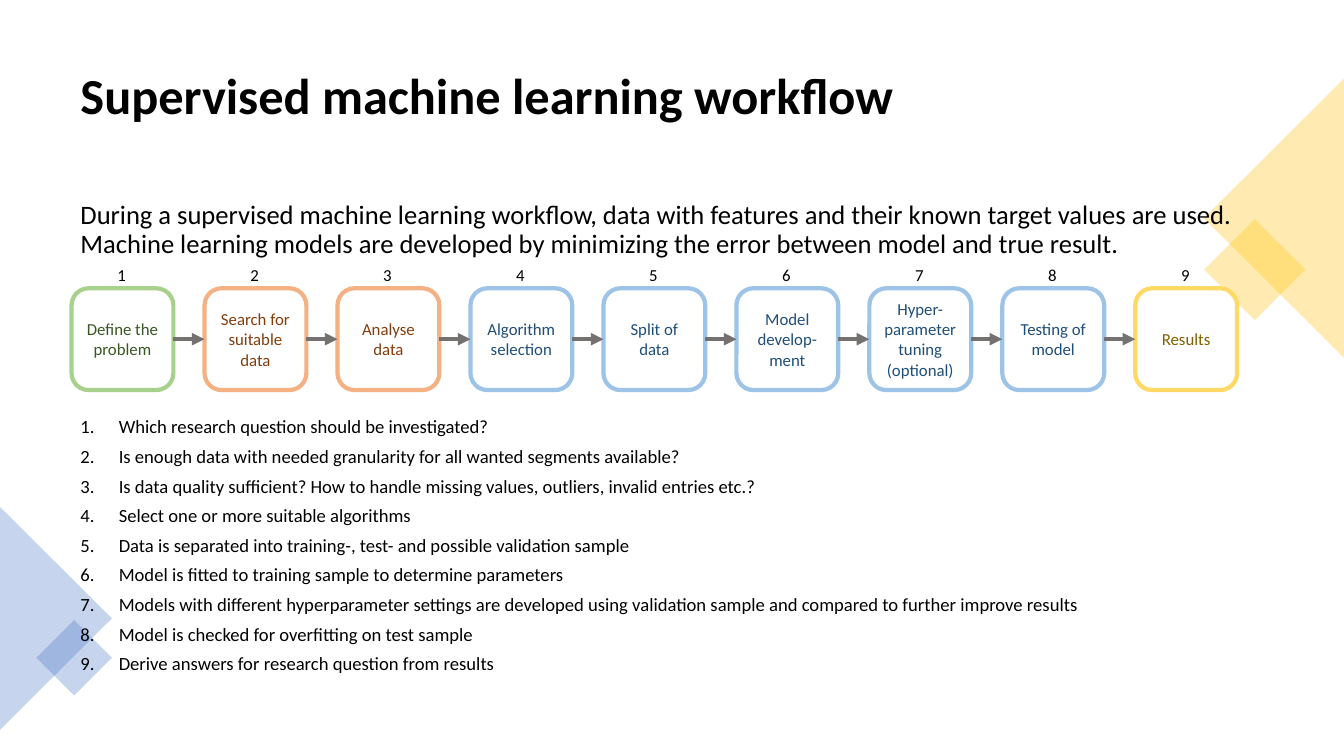
from lxml.etree import SubElement
from pptx import Presentation
from pptx.dml.color import RGBColor
from pptx.enum.shapes import MSO_CONNECTOR, MSO_SHAPE
from pptx.enum.text import MSO_ANCHOR, PP_ALIGN
from pptx.oxml.ns import qn
from pptx.util import Inches, Pt

BLACK = RGBColor(0, 0, 0)
GREY = RGBColor(0x76, 0x71, 0x71)
GOLD = RGBColor(0xFF, 0xC0, 0x00)
BLUE = RGBColor(0x44, 0x72, 0xC4)
GREEN_STEP = RGBColor(0xA9, 0xD1, 0x8E), RGBColor(0x38, 0x57, 0x23)
ORANGE_STEP = RGBColor(0xF4, 0xB1, 0x83), RGBColor(0x84, 0x3C, 0x0B)
BLUE_STEP = RGBColor(0x9D, 0xC3, 0xE6), RGBColor(0x1F, 0x4E, 0x79)
GOLD_STEP = RGBColor(0xFF, 0xD9, 0x66), RGBColor(0x80, 0x60, 0x00)

TITLE = "Supervised machine learning workflow"
INTRO = (
    "During a supervised machine learning workflow, data with features and "
    "their known target values are used. Machine learning models are developed "
    "by minimizing the error between model and true result."
)
STEPS = [
    ("Define the problem", GREEN_STEP, "Which research question should be investigated?"),
    ("Search for suitable data", ORANGE_STEP,
     "Is enough data with needed granularity for all wanted segments available?"),
    ("Analyse data", ORANGE_STEP,
     "Is data quality sufficient? How to handle missing values, outliers, invalid entries etc.?"),
    ("Algorithm selection", BLUE_STEP, "Select one or more suitable algorithms"),
    ("Split of data", BLUE_STEP,
     "Data is separated into training-, test- and possible validation sample"),
    ("Model develop-ment", BLUE_STEP,
     "Model is fitted to training sample to determine parameters"),
    ("Hyper-parameter tuning (optional)", BLUE_STEP,
     "Models with different hyperparameter settings are developed using validation "
     "sample and compared to further improve results"),
    ("Testing of model", BLUE_STEP, "Model is checked for overfitting on test sample"),
    ("Results", GOLD_STEP, "Derive answers for research question from results"),
]
DECORATIONS = [
    (MSO_SHAPE.RECTANGLE, (12.09, 2.32, 0.71, 0.71), 45, GOLD),
    (MSO_SHAPE.ISOSCELES_TRIANGLE, (11.25, 1.47, 2.77, 1.39), 270, GOLD),
    (MSO_SHAPE.ISOSCELES_TRIANGLE, (-0.55, 5.58, 2.21, 1.11), 90, BLUE),
    (MSO_SHAPE.RECTANGLE, (0.47, 6.26, 0.53, 0.53), 45, BLUE),
]


def apply_format(target, values):
    """Set each named attribute of the target."""
    for name, value in values.items():
        setattr(target, name, value)


def write_text(box, lines, size, color=BLACK, bold=False, frame_format=None, para_format=None):
    """Write one paragraph per line into the box."""
    frame = box.text_frame
    apply_format(frame, {"word_wrap": True, **(frame_format or {})})
    for index, line in enumerate(lines):
        para = frame.add_paragraph() if index else frame.paragraphs[0]
        apply_format(para, para_format or {})
        span = para.add_run()
        span.text = line
        apply_format(span.font, {"name": "Calibri", "size": Pt(size), "bold": bold})
        span.font.color.rgb = color
    return frame


def add_text(page, area, lines, size, **formats):
    """Add a text box at an area given in inches."""
    box = page.shapes.add_textbox(*map(Inches, area))
    return write_text(box, lines, size, **formats)


def add_decoration(page, kind, area, rotation, color):
    """Add a translucent corner shape."""
    shape = page.shapes.add_shape(kind, *map(Inches, area))
    apply_format(shape, {"rotation": rotation})
    shape.shadow.inherit = False
    shape.line.fill.background()
    shape.fill.solid()
    shape.fill.fore_color.rgb = color
    tint = shape.fill._xPr.find(".//" + qn("a:srgbClr"))
    SubElement(tint, qn("a:alpha"), val="30000")


def add_step(page, area, label, colors):
    """Add one outlined workflow step."""
    outline, ink = colors
    shape = page.shapes.add_shape(MSO_SHAPE.ROUNDED_RECTANGLE, *map(Inches, area))
    shape.shadow.inherit = False
    shape.fill.background()
    shape.line.color.rgb = outline
    shape.line.width = Pt(3)
    write_text(
        shape, [label], 12, ink,
        frame_format={"vertical_anchor": MSO_ANCHOR.MIDDLE,
                      "margin_left": Inches(0.08), "margin_right": Inches(0.08)},
        para_format={"alignment": PP_ALIGN.CENTER},
    )


def add_arrow(page, start, end, height):
    """Add a horizontal arrow between two steps."""
    arrow = page.shapes.add_connector(
        MSO_CONNECTOR.STRAIGHT, *map(Inches, (start, height, end, height)))
    arrow.line.color.rgb = GREY
    arrow.line.width = Pt(3)
    SubElement(arrow.line._get_or_add_ln(), qn("a:tailEnd"), type="triangle")
    SubElement(arrow._element.spPr, qn("a:effectLst"))


def add_workflow(page, left, top, width, side):
    """Place numbered steps and arrows evenly across the width."""
    pitch = (width - side) / (len(STEPS) - 1)
    for index, (label, colors, _) in enumerate(STEPS):
        x = left + index * pitch
        add_step(page, (x, top, side, side), label, colors)
        if index:
            add_arrow(page, x - pitch + side, x, top + side / 2)
        add_text(page, (x + side / 2 - 0.15, top - 0.28, 0.29, 0.3), [str(index + 1)], 12,
                 frame_format={"word_wrap": False})


def add_questions(page, area):
    """Add the numbered explanation of the steps."""
    frame = add_text(page, area, [step[2] for step in STEPS], 13.3,
                     para_format={"line_spacing": 0.7, "space_before": Pt(10)})
    indent = Inches(0.38)
    for para in frame.paragraphs:
        properties = para._p.get_or_add_pPr()
        properties.set("marL", str(indent))
        properties.set("indent", str(-indent))
        SubElement(properties, qn("a:buFont"), typeface="+mj-lt")
        SubElement(properties, qn("a:buAutoNum"), type="arabicPeriod")


def build_page(page):
    """Compose the workflow slide."""
    left, width = 0.7, 11.93
    add_text(page, (left, 0.35, width, 1.24), [TITLE], 36, bold=True,
             frame_format={"vertical_anchor": MSO_ANCHOR.MIDDLE},
             para_format={"line_spacing": 0.9})
    for decoration in DECORATIONS:
        add_decoration(page, *decoration)
    add_text(page, (left, 1.95, width, 0.78), [INTRO], 19,
             para_format={"line_spacing": 0.9, "space_before": Pt(10)})
    add_workflow(page, 0.71, 2.86, 11.56, 1.01)
    add_questions(page, (left, 4.13, width, 2.63))


def main():
    """Build and save the deck."""
    deck = Presentation()
    apply_format(deck, {"slide_width": Inches(13.33), "slide_height": Inches(7.5)})
    build_page(deck.slides.add_slide(deck.slide_layouts[6]))
    deck.save("out.pptx")


if __name__ == "__main__":
    main()
